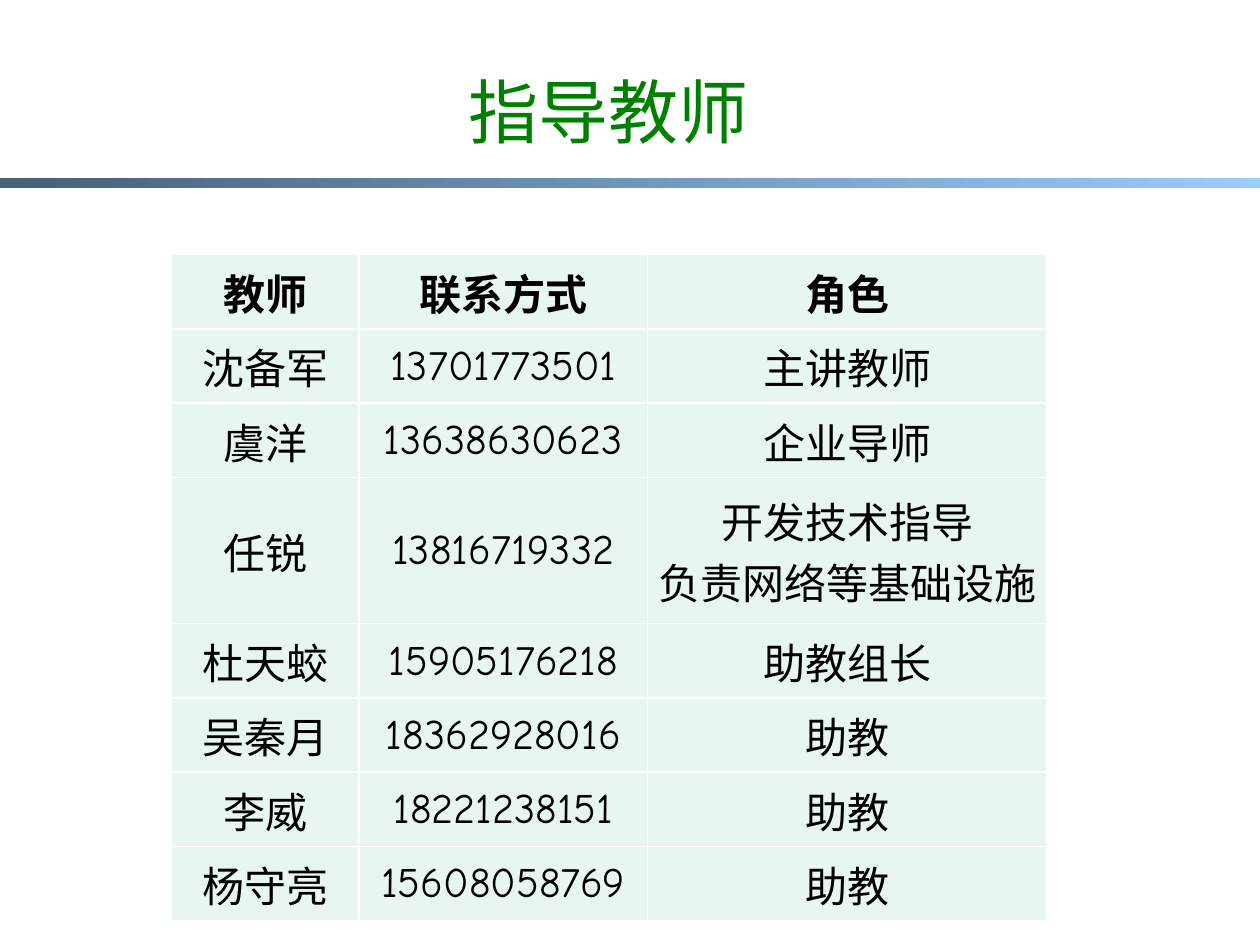
from lxml import etree
from pptx import Presentation
from pptx.dml.color import RGBColor
from pptx.enum import shapes, text
from pptx.oxml.ns import qn
from pptx.util import Inches, Pt

# Content
TITLE = "指导教师"
ROWS = [
    ("教师", "联系方式", "角色"),
    ("沈备军", "13701773501", "主讲教师"),
    ("虞洋", "13638630623", "企业导师"),
    ("任锐", "13816719332", "开发技术指导\v负责网络等基础设施"),
    ("杜天蛟", "15905176218", "助教组长"),
    ("吴秦月", "18362928016", "助教"),
    ("李威", "18221238151", "助教"),
    ("杨守亮", "15608058769", "助教"),
]
WIDTHS = [1.49, 2.29, 3.17]
ROW, TALL = 0.59, 1.16
COLORS = {"title": "008000", "text": "000000", "cell": "E7F6EF",
          "grid": "FFFFFF", "dark": "475F77", "light": "99CCFF"}
LATIN, HAN = "Comic Neue", "Noto Sans CJK SC"


def color(key):
    return RGBColor.from_string(COLORS[key])


def style(para, size, key, latin, bold=False):
    para.alignment = text.PP_ALIGN.CENTER
    for run in para.runs:
        font = run.font
        font.size, font.bold, font.name = Pt(size), bold, latin
        font.color.rgb = color(key)
        etree.SubElement(run._r.get_or_add_rPr(), qn("a:ea"), typeface=HAN)


def border(cell):
    props = cell._tc.get_or_add_tcPr()
    for spot, side in enumerate(("lnL", "lnR", "lnT", "lnB")):
        line = etree.Element(qn("a:" + side), w=str(Pt(1)))
        fill = etree.SubElement(line, qn("a:solidFill"))
        etree.SubElement(fill, qn("a:srgbClr"), val=COLORS["grid"])
        props.insert(spot, line)


deck = Presentation()
deck.slide_width, deck.slide_height = Inches(10), Inches(7.5)
slide = deck.slides.add_slide(deck.slide_layouts[5])

# Title
title = slide.shapes.title
title.left, title.top = Inches(0.58), Inches(0.25)
title.width, title.height = Inches(8.5), Inches(1.25)
title.text_frame.text = TITLE
title.text_frame.vertical_anchor = text.MSO_ANCHOR.MIDDLE
style(title.text_frame.paragraphs[0], 40, "title", HAN)

# Gradient rule under the title
bar = slide.shapes.add_shape(shapes.MSO_SHAPE.RECTANGLE, 0, Inches(1.41),
                             deck.slide_width, Inches(0.08))
bar.shadow.inherit = False
bar.line.fill.background()
bar.fill.gradient()
bar.fill.gradient_angle = 0
for stop, key in zip(bar.fill.gradient_stops, ("dark", "light")):
    stop.color.rgb = color(key)

# Table of teachers
heights = [TALL if "\v" in row[-1] else ROW for row in ROWS]
table = slide.shapes.add_table(len(ROWS), len(WIDTHS), Inches(1.36), Inches(2.02),
                               Inches(sum(WIDTHS)), Inches(sum(heights))).table
table.horz_banding = False
for col, width in zip(table.columns, WIDTHS):
    col.width = Inches(width)
for r, row in enumerate(ROWS):
    table.rows[r].height = Inches(heights[r])
    for c, words in enumerate(row):
        cell = table.cell(r, c)
        cell.margin_left = cell.margin_right = cell.margin_top = Inches(0.01)
        cell.margin_bottom = 0
        cell.vertical_anchor = text.MSO_ANCHOR.MIDDLE
        cell.fill.solid()
        cell.fill.fore_color.rgb = color("cell")
        border(cell)
        para = cell.text_frame.paragraphs[0]
        para.text = words
        style(para, 24, "text", LATIN, r == 0)

deck.save("out.pptx")
